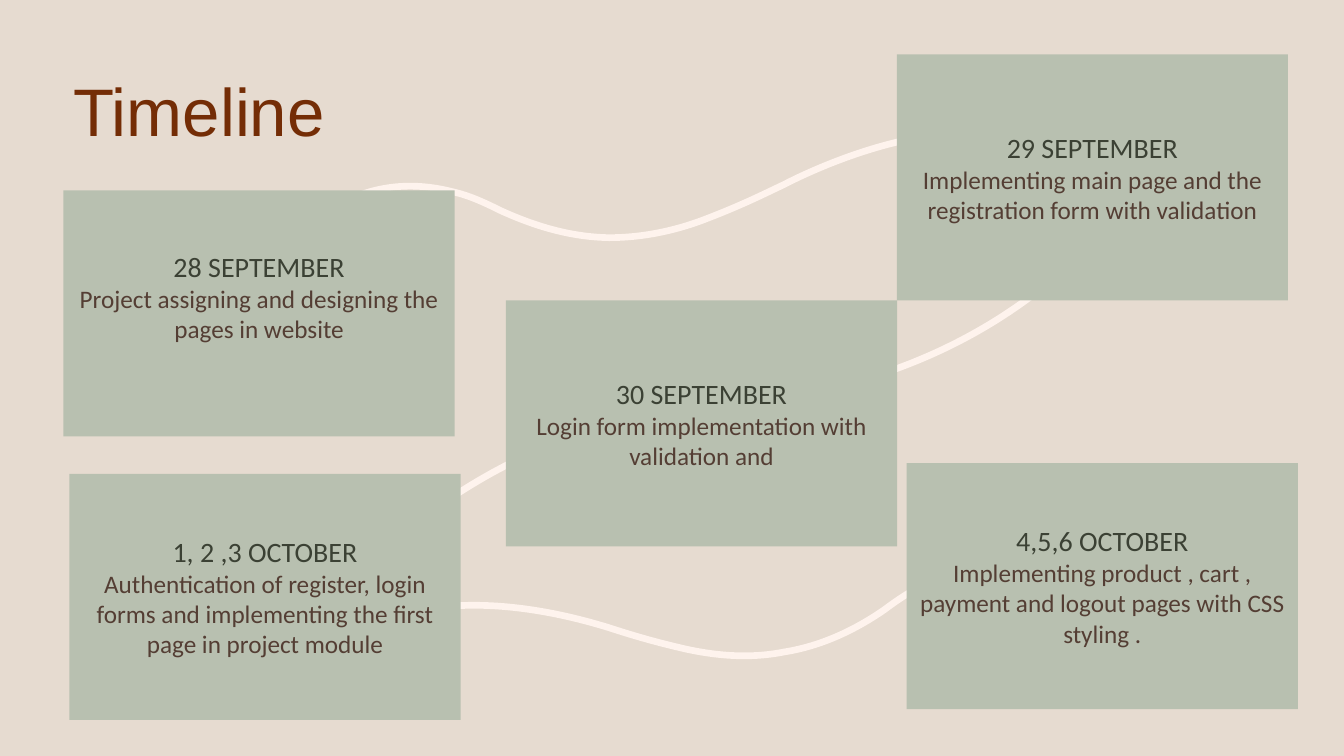
"""Build the project timeline slide."""
from lxml import etree
from pptx import Presentation
from pptx import util as u
from pptx.dml.color import RGBColor
from pptx.enum import shapes, text
from pptx.oxml import ns

SAND = RGBColor(0xE6, 0xDB, 0xD0)
CREAM = RGBColor(0xFE, 0xF3, 0xED)
SAGE = RGBColor(0xB8, 0xC0, 0xB0)
RUST = RGBColor(0x74, 0x2D, 0x06)
MOSS = RGBColor(0x3B, 0x41, 0x34)
BROWN = RGBColor(0x54, 0x3E, 0x34)

BOX_WIDTH, BOX_HEIGHT = 9.86, 6.2

RIBBONS = [
    [(21.16, 9.73), (23.19, 9.22), (25.02, 8.31), (26.59, 6.99)],
    [(14.83, 10.87), (12.93, 11.48), (11.3, 12.45), (9.88, 13.69)],
    [(7.8, 5.66), (8.89, 4.75), (10.11, 4.5), (11.4, 4.83),
     (11.84, 4.93), (12.22, 5.11), (12.62, 5.31),
     (13.46, 5.69), (14.35, 5.97), (15.34, 5.99),
     (16.18, 5.99), (17.02, 5.82), (17.81, 5.51),
     (18.72, 5.16), (19.23, 4.9), (19.76, 4.65),
     (20.35, 4.34), (23.88, 2.62), (26.09, 3.71)],
    [(23.37, 14.71), (22.96, 14.88), (22.63, 15.11), (22.28, 15.37),
     (21.54, 15.88), (20.7, 16.28), (19.76, 16.43),
     (18.95, 16.59), (18.14, 16.54), (17.3, 16.36),
     (16.38, 16.15), (15.85, 15.98), (15.29, 15.8),
     (14.68, 15.62), (11.02, 14.48), (8.81, 16.15)],
]

MILESTONES = [
    (1.6, 4.8, "28 SEPTEMBER",
     "Project assigning and designing the pages in website", 0.99),
    (22.6, 1.37, "29 SEPTEMBER",
     "Implementing main page and the registration form with validation", 0.13),
    (12.75, 7.57, "30 SEPTEMBER",
     "Login form implementation with validation and", 0.13),
    (1.75, 11.94, "1, 2 ,3 OCTOBER",
     "Authentication of register, login forms and implementing "
     "the first page in project module", 0.13),
    (22.85, 11.67, "4,5,6 OCTOBER",
     "Implementing product , cart , payment and logout pages "
     "with CSS styling .", 0.13),
]


def write(para, words, *, size, color, font="Calibri",
          align=text.PP_ALIGN.CENTER, spacing=1.0):
    """Put formatted words into a paragraph."""
    para.alignment = align
    para.line_spacing = spacing
    span = para.add_run()
    span.text = words
    span.font.name = font
    span.font.size = u.Pt(size)
    span.font.color.rgb = color


class TimelinePage:
    """Hold the style and the current slide."""

    def __init__(self, deck):
        """Add a blank page with the sand background."""
        self.page = deck.slides.add_slide(deck.slide_layouts[6])
        self.page.background.fill.solid()
        self.page.background.fill.fore_color.rgb = SAND

    def title(self, words):
        """Add the page title."""
        box = self.page.shapes.add_textbox(
            u.Cm(1.6), u.Cm(1.96), u.Cm(25.4), u.Cm(1.88))
        frame = box.text_frame
        frame.word_wrap = True
        frame.vertical_anchor = text.MSO_ANCHOR.MIDDLE
        write(frame.paragraphs[0], words, size=48, color=RUST, font="Arial",
              align=text.PP_ALIGN.LEFT, spacing=0.9)

    def ribbon(self, points):
        """Draw a smooth line through cubic Bezier points."""
        start, *rest = [(u.Cm(x), u.Cm(y)) for x, y in points]
        builder = self.page.shapes.build_freeform(*start)
        builder.add_line_segments(rest, close=False)
        curve = builder.convert_to_shape()
        curve.shadow.inherit = False
        curve.fill.background()
        curve.line.color.rgb = CREAM
        curve.line.width = u.Pt(4.75)
        steps = list(curve.element.iter(ns.qn("a:lnTo")))
        for first in range(0, len(steps), 3):
            outline = steps[first].getparent()
            bend = etree.SubElement(outline, ns.qn("a:cubicBezTo"))
            for step in steps[first:first + 3]:
                bend.append(step[0])
                outline.remove(step)

    def milestone(self, left, top, date, task, bottom_inset):
        """Add a box with a date and its task."""
        box = self.page.shapes.add_shape(
            shapes.MSO_SHAPE.RECTANGLE, u.Cm(left), u.Cm(top),
            u.Cm(BOX_WIDTH), u.Cm(BOX_HEIGHT))
        box.shadow.inherit = False
        box.fill.solid()
        box.fill.fore_color.rgb = SAGE
        box.line.fill.background()
        frame = box.text_frame
        frame.word_wrap = True
        frame.vertical_anchor = text.MSO_ANCHOR.MIDDLE
        frame.margin_bottom = u.Cm(bottom_inset)
        write(frame.paragraphs[0], date, size=20, color=MOSS)
        write(frame.add_paragraph(), task, size=18, color=BROWN)


def main():
    """Create and save the deck."""
    deck = Presentation()
    deck.slide_width, deck.slide_height = u.Cm(33.87), u.Cm(19.05)
    page = TimelinePage(deck)
    for points in RIBBONS:
        page.ribbon(points)
    page.title("Timeline")
    for details in MILESTONES:
        page.milestone(*details)
    deck.save("out.pptx")


if __name__ == "__main__":
    main()
